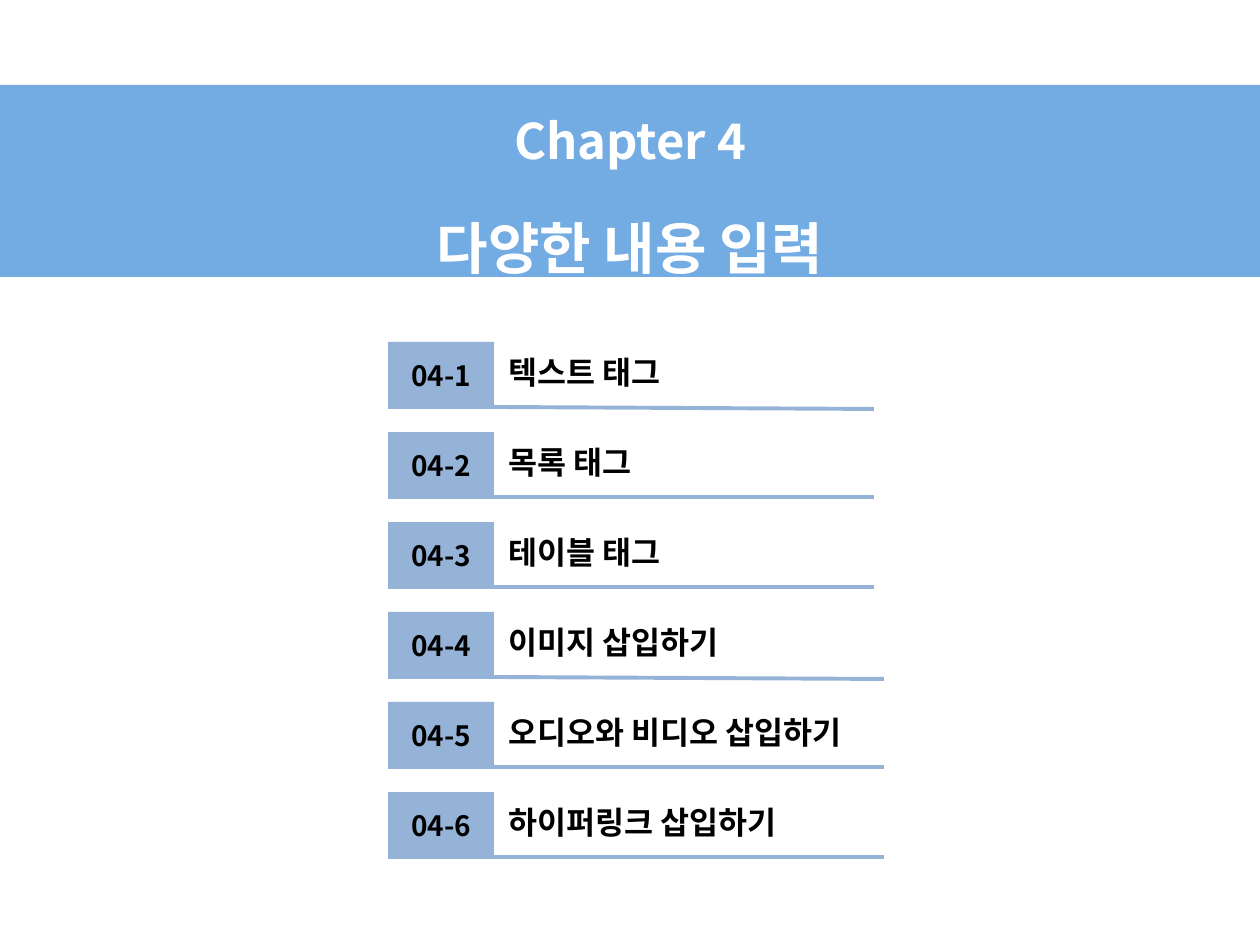
"""Builds the chapter 4 opening slide with its list of sections."""
from lxml.etree import SubElement
from pptx import Presentation
from pptx.dml.color import RGBColor
from pptx.enum.shapes import MSO_CONNECTOR, MSO_SHAPE
from pptx.enum.text import MSO_ANCHOR, MSO_AUTO_SIZE, PP_ALIGN
from pptx.oxml.ns import qn
from pptx.util import Emu, Pt

FONT = "Noto Sans CJK KR"
COLORS = {"banner": "0066CC", "section": "95B3D7", "title": "FFFFFF", "text": "000000"}


def px(*lengths):
    return [Emu(round(length * 914400 / 126)) for length in lengths]


def write(paragraph, text, size, color, align=PP_ALIGN.LEFT):
    paragraph.text = text
    paragraph.alignment = align
    font = paragraph.font
    font.name, font.size, font.bold = FONT, Pt(size), True
    font.color.rgb = RGBColor.from_string(COLORS[color])
    properties = paragraph._p.pPr.find(qn("a:defRPr"))
    SubElement(properties, qn("a:ea"), typeface=FONT)


presentation = Presentation()
presentation.slide_width, presentation.slide_height = px(1260, 945)
slide = presentation.slides.add_slide(presentation.slide_layouts[6])

banner = slide.shapes.add_shape(MSO_SHAPE.RECTANGLE, *px(0, 85, 1260, 192))
banner.shadow.inherit = False
banner.fill.solid()
banner.fill.fore_color.rgb = RGBColor.from_string(COLORS["banner"])
banner_color = banner._element.spPr.find(qn("a:solidFill"))[0]
SubElement(banner_color, qn("a:alpha"), val="55000")
banner.line.fill.background()
heading = banner.text_frame
heading.vertical_anchor = MSO_ANCHOR.MIDDLE
chapter, title = heading.paragraphs[0], heading.add_paragraph()
write(chapter, "Chapter 4", 28, "title", PP_ALIGN.CENTER)
write(title, "다양한 내용 입력", 32, "title", PP_ALIGN.CENTER)
chapter.line_spacing = title.line_spacing = 1.5
title.space_before = Pt(6)

sections = [
    ("텍스트 태그", 874, 2),
    ("목록 태그", 874, 0),
    ("테이블 태그", 874, 0),
    ("이미지 삽입하기", 884, 2),
    ("오디오와 비디오 삽입하기", 884, 0),
    ("하이퍼링크 삽입하기", 884, 0),
]
for index, (name, rule_end, rule_drop) in enumerate(sections):
    top = 342 + 90 * index
    section = slide.shapes.add_group_shape().shapes

    number = section.add_shape(MSO_SHAPE.RECTANGLE, *px(388, top, 106, 67))
    number.shadow.inherit = False
    number.fill.solid()
    number.fill.fore_color.rgb = RGBColor.from_string(COLORS["section"])
    number.line.fill.background()
    number.text_frame.vertical_anchor = MSO_ANCHOR.MIDDLE
    write(number.text_frame.paragraphs[0], f"04-{index + 1}", 16, "text", PP_ALIGN.CENTER)

    label = section.add_textbox(*px(496, top + 5, 411, 50)).text_frame
    label.word_wrap = True
    label.auto_size = MSO_AUTO_SIZE.SHAPE_TO_FIT_TEXT
    write(label.paragraphs[0], name, 18, "text")

    rule_top = top + 65
    rule = section.add_connector(
        MSO_CONNECTOR.STRAIGHT, *px(494, rule_top, rule_end, rule_top + rule_drop))
    rule.line.color.rgb = RGBColor.from_string(COLORS["section"])
    rule.line.width = Pt(2.25)
    SubElement(rule._element.spPr, qn("a:effectLst"))

presentation.save("out.pptx")
